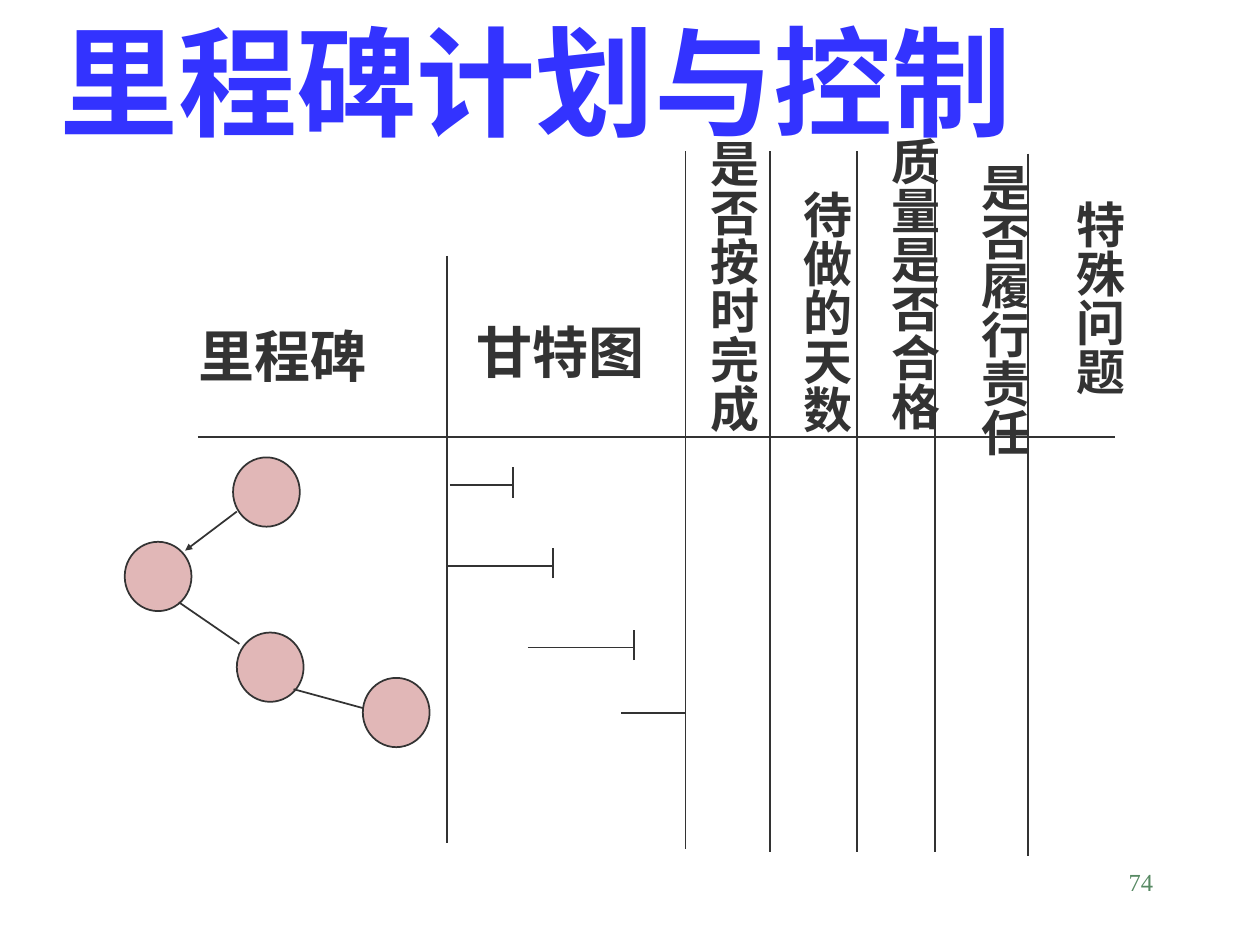
"""Build the milestone planning and control slide."""
from typing import NamedTuple

import pptx
import pptx.dml.color
import pptx.enum.shapes
import pptx.enum.text
import pptx.oxml
import pptx.util
from pptx.util import Inches

RGBColor = pptx.dml.color.RGBColor
Align = pptx.enum.text.PP_ALIGN
Anchor = pptx.enum.text.MSO_ANCHOR
Fit = pptx.enum.text.MSO_AUTO_SIZE

BLUE = RGBColor(0x33, 0x33, 0xFF)
DARK = RGBColor(0x33, 0x33, 0x33)
PINK = RGBColor(0xE1, 0xB7, 0xB7)
GREEN = RGBColor(0x57, 0x89, 0x63)
FACE = "Times New Roman"
NS = 'xmlns:a="http://schemas.openxmlformats.org/drawingml/2006/main"'


class Label(NamedTuple):
    text: str
    left: float
    top: float
    width: float
    height: float
    size: int = 28
    upright: bool = True
    wrap: bool = False


class Line(NamedTuple):
    x1: float
    y1: float
    x2: float
    y2: float
    arrow: bool = False


class Node(NamedTuple):
    left: float
    top: float


class Bar(NamedTuple):
    start: float
    end: float
    y: float
    tick: bool = True


LABELS = [
    Label("里程碑", 1.48, 2.5, 1.65, 0.64, 32, False),
    Label("甘特图", 3.68, 2.47, 1.65, 0.64, 32, False),
    Label("是否按时完成", 5.44, 1.01, 0.66, 2.43),
    Label("待做的天数", 6.18, 1.41, 0.66, 2.04),
    Label("质量是否合格", 6.88, 0.99, 0.66, 2.43),
    Label("是否履行责任", 7.59, 1.2, 0.66, 2.69, wrap=True),
    Label("特殊问题", 8.35, 1.49, 0.66, 1.66),
]
RULES = [
    Line(1.57, 3.47, 8.85, 3.47),
    Line(3.55, 2.03, 3.55, 6.69),
    Line(5.44, 1.2, 5.44, 6.74),
    *(Line(x, 1.2, x, 6.76) for x in (6.11, 6.8, 7.42)),
    Line(8.16, 1.22, 8.16, 6.79),
]
NODES = [Node(1.85, 3.63), Node(0.99, 4.3), Node(1.88, 5.02), Node(2.88, 5.38)]
LINKS = [
    Line(1.88, 4.06, 1.47, 4.37, True),
    Line(1.42, 4.78, 1.9, 5.11),
    Line(2.33, 5.47, 2.88, 5.62),
]
BARS = [
    Bar(3.57, 4.07, 3.85),
    Bar(3.55, 4.39, 4.49),
    Bar(4.19, 5.03, 5.14),
    Bar(4.93, 5.44, 5.66, False),
]


def style(frame, text: str, size: int, color: RGBColor, bold: bool = True):
    """Fill a text frame and return its paragraph."""
    frame.text = text
    para = frame.paragraphs[0]
    font = para.font
    font.name, font.size, font.bold = FACE, pptx.util.Pt(size), bold
    font.color.rgb = color
    return para


def add_label(slide, label: Label) -> None:
    """Draw a heading, upright or level."""
    box = slide.shapes.add_textbox(*map(Inches, label[1:5]))
    frame = box.text_frame
    frame.word_wrap = label.wrap
    frame.auto_size = Fit.SHAPE_TO_FIT_TEXT
    if label.upright:
        frame._txBody.bodyPr.set("vert", "eaVert")
        frame.margin_left = frame.margin_right = Inches(0.05)
        frame.margin_top = frame.margin_bottom = Inches(0.1)
    style(frame, label.text, label.size, DARK)


def add_line(slide, line: Line) -> None:
    """Draw a thin straight line."""
    kind = pptx.enum.shapes.MSO_CONNECTOR.STRAIGHT
    link = slide.shapes.add_connector(kind, *map(Inches, line[:4]))
    link.line.color.rgb = DARK
    link.line.width = pptx.util.Pt(1)
    if line.arrow:
        head = pptx.oxml.parse_xml(f'<a:tailEnd {NS} type="triangle" w="sm" len="sm"/>')
        link.line._get_or_add_ln().append(head)
    link._element.spPr.append(pptx.oxml.parse_xml(f"<a:effectLst {NS}/>"))


def add_node(slide, node: Node) -> None:
    """Draw a milestone circle."""
    kind = pptx.enum.shapes.MSO_SHAPE.OVAL
    oval = slide.shapes.add_shape(kind, *map(Inches, (*node, 0.53, 0.55)))
    oval.shadow.inherit = False
    oval.fill.solid()
    oval.fill.fore_color.rgb = PINK
    oval.line.color.rgb = DARK
    oval.line.width = pptx.util.Pt(1)


def add_bar(slide, bar: Bar) -> None:
    """Draw a Gantt bar with its end tick."""
    add_line(slide, Line(bar.start, bar.y, bar.end, bar.y))
    if bar.tick:
        add_line(slide, Line(bar.end, bar.y + 0.1, bar.end, bar.y - 0.14))


def add_title(slide) -> None:
    """Place and format the title."""
    title = slide.shapes.title
    title.left, title.top = Inches(0.37), Inches(0)
    title.width, title.height = Inches(8.5), Inches(1.25)
    frame = title.text_frame
    frame.auto_size = Fit.NONE
    frame.vertical_anchor = Anchor.BOTTOM
    style(frame, "里程碑计划与控制", 68, BLUE).alignment = Align.LEFT


def add_page(slide) -> None:
    """Write the page number."""
    box = slide.shapes.add_textbox(*map(Inches, (7.17, 6.83, 2.08, 0.5)))
    box.text_frame.word_wrap = True
    style(box.text_frame, "74", 14, GREEN, False).alignment = Align.RIGHT


def main() -> None:
    """Assemble and save the slide."""
    deck = pptx.Presentation()
    deck.slide_width, deck.slide_height = Inches(10), Inches(7.5)
    slide = deck.slides.add_slide(deck.slide_layouts[5])
    add_title(slide)
    for label in LABELS:
        add_label(slide, label)
    for line in RULES:
        add_line(slide, line)
    for node in NODES:
        add_node(slide, node)
    for line in LINKS:
        add_line(slide, line)
    for bar in BARS:
        add_bar(slide, bar)
    add_page(slide)
    deck.save("out.pptx")


if __name__ == "__main__":
    main()
